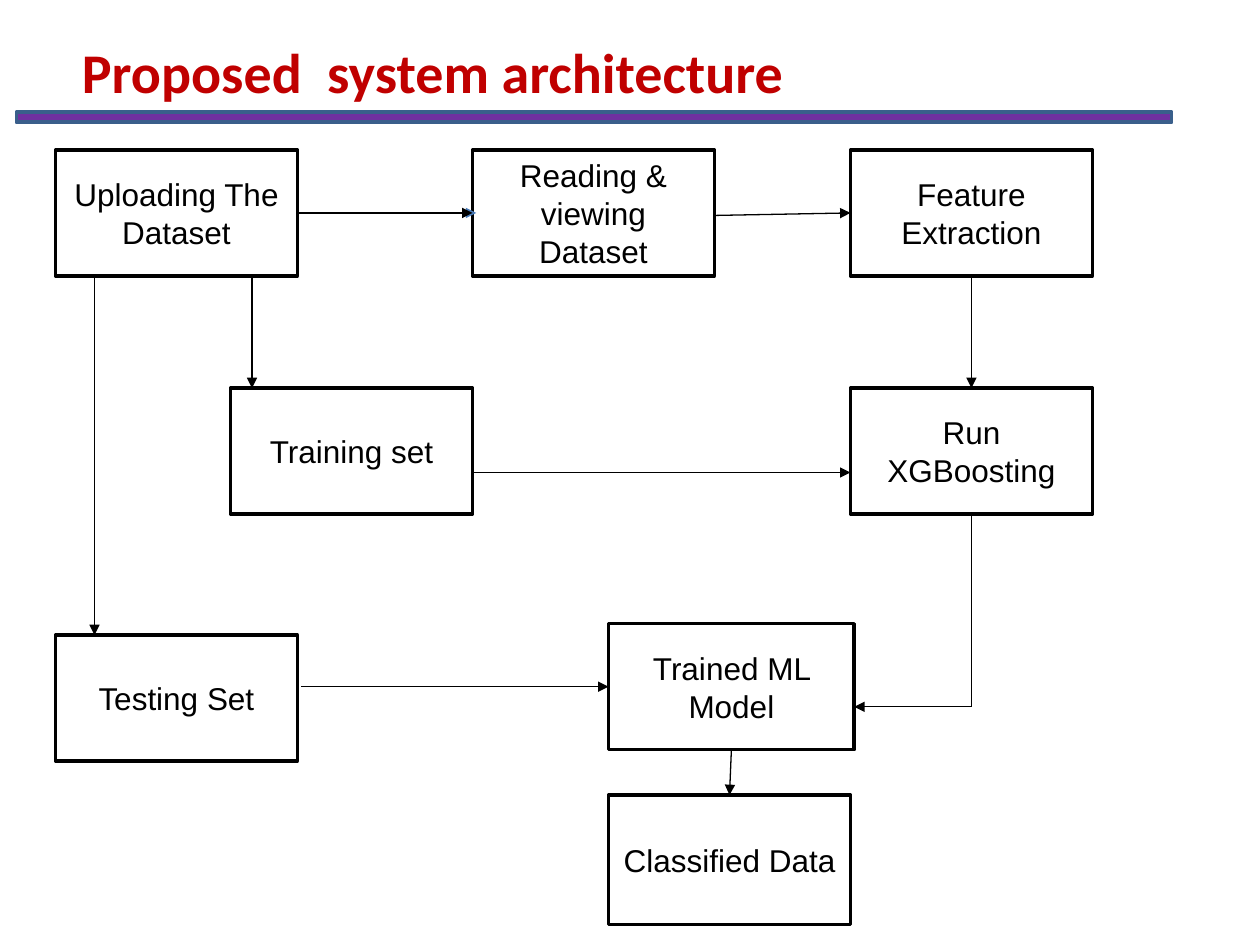
import pptx
import pptx.dml.color
import pptx.enum.shapes
import pptx.enum.text
import pptx.oxml.ns
import pptx.util
from lxml import etree

Inches = pptx.util.Inches
Pt = pptx.util.Pt

BLACK, WHITE = "000000", "FFFFFF"
BOX_WIDTH, BOX_HEIGHT = 1.92, 1

# Grid lines in inches: left edges of the columns, top edges of the rows
COLUMNS = {"upload": 0.44, "training": 1.83, "reading": 3.75, "model": 4.83, "feature": 6.75}
ROWS = {"prepare": 1.19, "train": 3.08, "model": 4.95, "test": 5.04, "result": 6.31}

# name: (text, column, row, extra width, extra height)
BOXES = {
    "upload": ("Uploading The Dataset", "upload", "prepare", 0, 0),
    "boosting": ("Run XGBoosting", "feature", "train", 0, 0),
    "training": ("Training set", "training", "train", 0, 0),
    "feature": ("Feature Extraction", "feature", "prepare", 0, 0),
    "reading": ("Reading & viewing Dataset", "reading", "prepare", 0, 0),
    "classified": ("Classified Data", "model", "result", 0, 0.03),
    "model": ("Trained ML Model", "model", "model", 0.03, 0),
    "testing": ("Testing Set", "upload", "test", 0, 0),
}


def color(hex_value):
    return pptx.dml.color.RGBColor.from_string(hex_value)


def format_text(paragraph, alignment, **font_values):
    paragraph.alignment = alignment
    font = paragraph.runs[0].font
    font.color.rgb = color(font_values.pop("color"))
    for name, value in font_values.items():
        setattr(font, name, value)


def set_title(slide, text):
    title = slide.shapes.title
    place = {"left": 0.55, "top": 0.25, "width": 6.36, "height": 0.64}
    for name, value in place.items():
        setattr(title, name, Inches(value))
    frame = title.text_frame
    frame.text = text
    frame.word_wrap = True
    frame.auto_size = pptx.enum.text.MSO_AUTO_SIZE.NONE
    frame.vertical_anchor = pptx.enum.text.MSO_ANCHOR.TOP
    format_text(frame.paragraphs[0], pptx.enum.text.PP_ALIGN.LEFT,
                name="Calibri", size=Pt(32), bold=True, color="C00000")


def add_rectangle(slide, left, top, width, height, fill, line):
    shape = slide.shapes.add_shape(
        pptx.enum.shapes.MSO_SHAPE.RECTANGLE,
        *(Inches(value) for value in (left, top, width, height)))
    shape.shadow.inherit = False
    shape.fill.solid()
    shape.fill.fore_color.rgb = color(fill)
    shape.line.color.rgb = color(line)
    shape.line.width = Pt(2)
    return shape


def add_box(slide, text, column, row, extra_width, extra_height):
    shape = add_rectangle(slide, COLUMNS[column], ROWS[row], BOX_WIDTH + extra_width,
                          BOX_HEIGHT + extra_height, WHITE, BLACK)
    frame = shape.text_frame
    frame.text = text
    frame.word_wrap = True
    frame.vertical_anchor = pptx.enum.text.MSO_ANCHOR.MIDDLE
    format_text(frame.paragraphs[0], pptx.enum.text.PP_ALIGN.CENTER,
                name="Arial", size=Pt(18), color=BLACK)


def box_point(name, across, down):
    """Point in inches at the given shares of a box's width and height."""
    _, column, row, extra_width, extra_height = BOXES[name]
    return (COLUMNS[column] + across * (BOX_WIDTH + extra_width),
            ROWS[row] + down * (BOX_HEIGHT + extra_height))


def add_line(slide, start, end, line=BLACK, arrow=True):
    connector = slide.shapes.add_connector(
        pptx.enum.shapes.MSO_CONNECTOR.STRAIGHT,
        *(Inches(value) for value in (*start, *end)))
    connector.line.color.rgb = color(line)
    connector.line.width = Pt(0.75)
    qn = pptx.oxml.ns.qn
    properties = connector._element.spPr
    if arrow:
        etree.SubElement(properties.find(qn("a:ln")), qn("a:tailEnd"), type="triangle")
    etree.SubElement(properties, qn("a:effectLst"))


def add_flow(slide):
    upload_right = box_point("upload", 1, 0.5)
    reading_left = box_point("reading", 0, 0.5)
    shift = 0.03
    add_line(slide, (upload_right[0] + shift, upload_right[1]),
             (reading_left[0] + shift, reading_left[1]), line="4B7EBC")
    add_line(slide, upload_right, reading_left)
    add_line(slide, box_point("reading", 1, 0.52), box_point("feature", 0, 0.5))
    add_line(slide, box_point("feature", 0.5, 1), box_point("boosting", 0.5, 0))
    add_line(slide, box_point("training", 1, 0.67), box_point("boosting", 0, 0.67))
    add_line(slide, box_point("model", 0.5, 1), box_point("classified", 0.5, 0))

    for target, x in (("training", 2), ("testing", 0.75)):
        add_line(slide, (x, box_point("upload", 0, 1)[1]), (x, box_point(target, 0, 0)[1]))

    model_left = box_point("model", 0, 0.5)
    add_line(slide, (upload_right[0] + shift, model_left[1]), model_left)

    model_right = box_point("model", 1, 0.66)
    boosting_bottom = box_point("boosting", 0.5, 1)
    corner = (boosting_bottom[0], model_right[1])
    add_line(slide, boosting_bottom, corner, arrow=False)
    add_line(slide, corner, model_right)


def main():
    presentation = pptx.Presentation()
    presentation.slide_width = Inches(10)
    presentation.slide_height = Inches(7.5)
    slide = presentation.slides.add_slide(presentation.slide_layouts[5])
    set_title(slide, "Proposed  system architecture")
    add_rectangle(slide, 0.13, 0.89, 9.17, 0.08, "7030A0", "3A5F8B")
    for box in BOXES.values():
        add_box(slide, *box)
    add_flow(slide)
    presentation.save("out.pptx")


if __name__ == "__main__":
    main()
